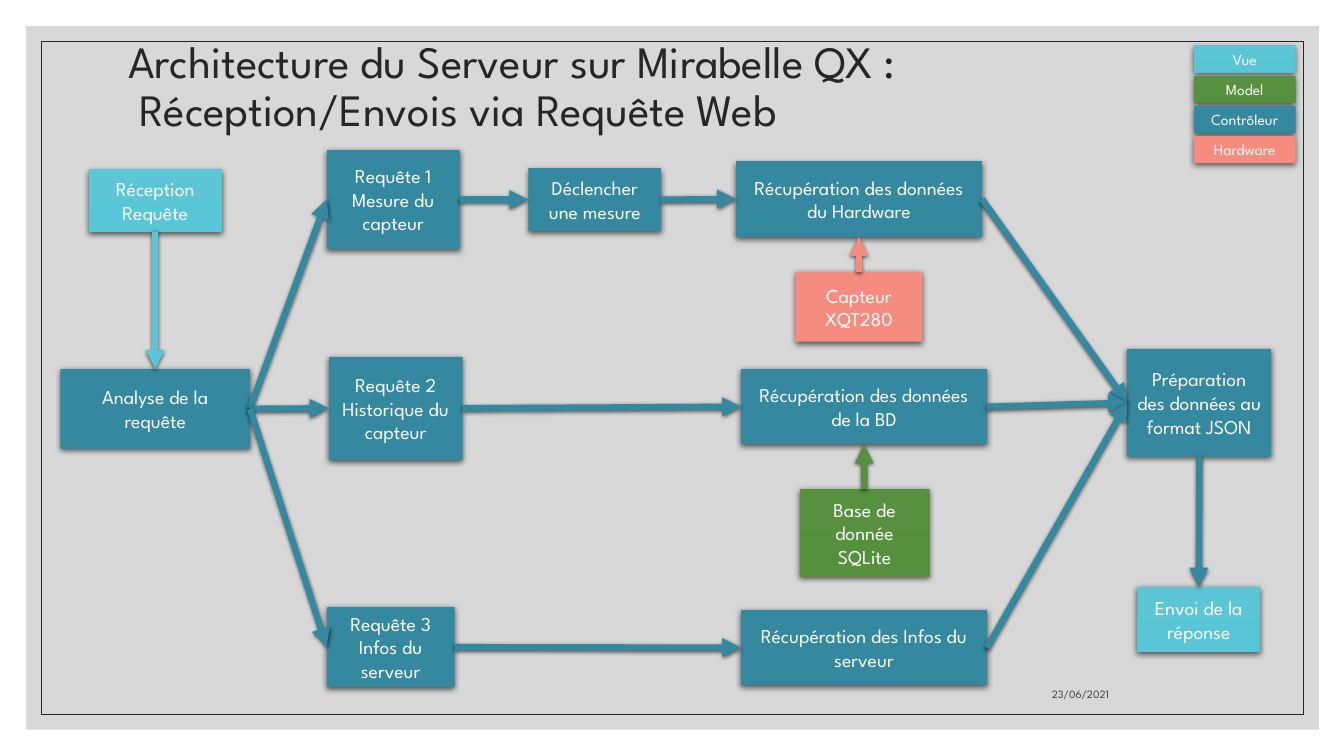
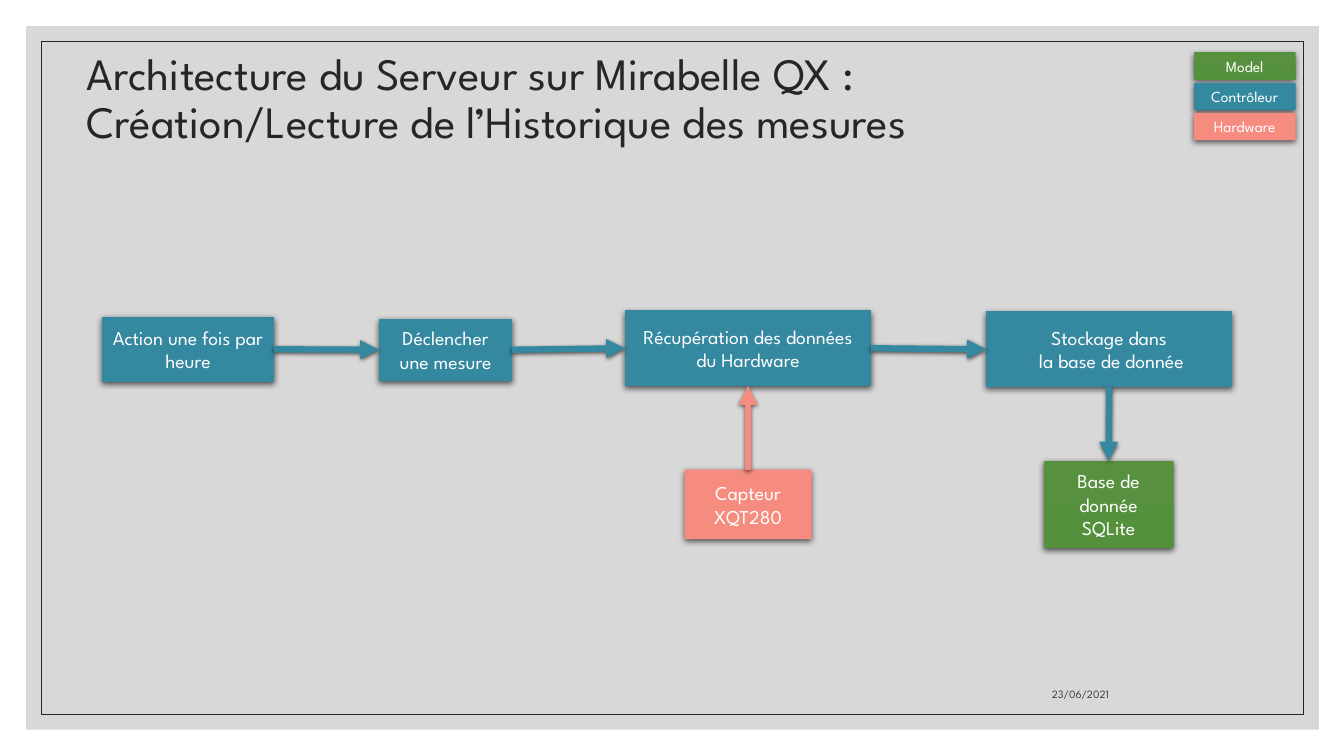
from pptx import Presentation
from pptx.dml.color import RGBColor
from pptx.enum.shapes import MSO_CONNECTOR, MSO_SHAPE
from pptx.enum.text import MSO_ANCHOR, MSO_AUTO_SIZE, PP_ALIGN
from pptx.oxml import parse_xml
from pptx.oxml.ns import nsdecls, qn
from pptx.util import Inches, Pt
from lxml.etree import SubElement

FONT = "League Spartan"
WHITE = RGBColor(0xFF, 0xFF, 0xFF)
GREY = RGBColor(0xBF, 0xBF, 0xBF)
DARK = RGBColor(0x26, 0x26, 0x26)
SLATE = RGBColor(0x40, 0x40, 0x40)
BLUE = (RGBColor(0x34, 0x88, 0xA0), RGBColor(0x31, 0x88, 0xA1))
GREEN = (RGBColor(0x57, 0x90, 0x3F), RGBColor(0x55, 0x91, 0x3C))
CYAN = (RGBColor(0x5C, 0xC6, 0xD6), RGBColor(0x58, 0xC6, 0xD7))
CORAL = (RGBColor(0xF6, 0x8C, 0x80),)
TOP, LEFT, BASE, RIGHT = range(4)
KEYS = {"Vue": CYAN, "Model": GREEN, "Contrôleur": BLUE, "Hardware": CORAL}


class Deck:
    """Hold the style and the current slide."""

    def __init__(self):
        self.prs = Presentation()
        self.prs.slide_width = Inches(13.33)
        self.prs.slide_height = Inches(7.5)
        self.slide = None

    def start(self, lines, area):
        first = self.slide is None
        self.slide = self.prs.slides.add_slide(self.prs.slide_layouts[5])
        if first:
            self.frame()
        self.title(lines, area)
        self.date("23/06/2021")

    def rect(self, area):
        shape = self.slide.shapes.add_shape(
            MSO_SHAPE.RECTANGLE, *map(Inches, area))
        shape.shadow.inherit = False
        shape.line.fill.background()
        return shape

    def frame(self):
        panel = self.rect((0.26, 0.26, 12.82, 6.98))
        panel.fill.solid()
        panel.fill.fore_color.rgb = GREY
        tint = next(panel.element.spPr.iter(qn("a:srgbClr")))
        SubElement(tint, qn("a:alpha"), val="60000")
        border = self.rect((0.41, 0.41, 12.52, 6.68))
        border.fill.background()
        border.line.color.rgb = DARK
        border.line.width = Pt(0.5)
        tree = self.prs.slide_master.shapes.element
        for spot, shape in enumerate((panel, border), 2):
            shape.element.nvSpPr.cNvPr.id = 20 + spot
            tree.insert(spot, shape.element)

    def put(self, para, text, size, color):
        run = para.add_run()
        run.text = text
        run.font.name = FONT
        run.font.size = Pt(size)
        run.font.color.rgb = color

    def title(self, lines, area):
        shape = self.slide.shapes.title
        shape.left, shape.top, shape.width, shape.height = map(Inches, area)
        text = shape.text_frame
        text.word_wrap = True
        text.auto_size = MSO_AUTO_SIZE.NONE
        text.vertical_anchor = MSO_ANCHOR.MIDDLE
        para = text.paragraphs[0]
        para.alignment = PP_ALIGN.LEFT
        para.line_spacing = 0.9
        for row, line in enumerate(lines):
            if row:
                para.add_line_break()
            self.put(para, line, 32, DARK)

    def date(self, day):
        area = map(Inches, (7.94, 6.6, 3.16, 0.4))
        text = self.slide.shapes.add_textbox(*area).text_frame
        text.word_wrap = True
        text.vertical_anchor = MSO_ANCHOR.BOTTOM
        para = text.paragraphs[0]
        para.alignment = PP_ALIGN.RIGHT
        self.put(para, day, 8, SLATE)

    def shade(self, shape, blur, drop):
        props = shape.element.spPr
        for old in props.findall(qn("a:effectLst")):
            props.remove(old)
        props.append(parse_xml(
            f'<a:effectLst {nsdecls("a")}><a:outerShdw blurRad="{Pt(blur)}" '
            f'dist="{Pt(drop)}" dir="5400000" algn="ctr" rotWithShape="0">'
            '<a:srgbClr val="000000"><a:alpha val="63000"/></a:srgbClr>'
            '</a:outerShdw></a:effectLst>'))

    def box(self, words, area, tone=BLUE, size=14):
        shape = self.rect(area)
        if len(tone) == 1:
            shape.fill.solid()
            shape.fill.fore_color.rgb = tone[0]
        else:
            shape.fill.gradient()
            shape.fill.gradient_angle = 270
            for stop, color in zip(shape.fill.gradient_stops, tone):
                stop.color.rgb = color
        self.shade(shape, 4.5, 1.5)
        text = shape.text_frame
        text.word_wrap = True
        text.vertical_anchor = MSO_ANCHOR.MIDDLE
        for row, line in enumerate(words.split("\n")):
            para = text.add_paragraph() if row else text.paragraphs[0]
            para.alignment = PP_ALIGN.CENTER
            self.put(para, line, size, WHITE)
        return shape

    def link(self, start, out, end, into, tone=BLUE):
        line = self.slide.shapes.add_connector(
            MSO_CONNECTOR.STRAIGHT, 0, 0, 0, 0)
        line.begin_connect(start, out)
        line.end_connect(end, into)
        line.line.color.rgb = tone[0]
        line.line.width = Pt(4.5)
        stroke = line.element.spPr.find(qn("a:ln"))
        SubElement(stroke, qn("a:tailEnd"), type="triangle")
        self.shade(line, 3, 1)

    def chain(self, *boxes):
        for start, end in zip(boxes, boxes[1:]):
            self.link(start, RIGHT, end, LEFT)

    def legend(self, names, top):
        for row, name in enumerate(names):
            self.box(name, (11.84, top + 0.3 * row, 1.01, 0.27),
                     KEYS[name], 11)


def web(deck):
    deck.start(("Architecture du Serveur sur Mirabelle QX : ",
                " Réception/Envois via Requête Web"), (1.17, 0.59, 11, 0.57))
    deck.legend(KEYS, 0.45)
    entry = deck.box("Réception Requête", (0.88, 1.68, 1.32, 0.62), CYAN)
    sort = deck.box("Analyse de la requête", (0.6, 3.66, 1.88, 0.79))
    sense = deck.box("Requête 1\nMesure du capteur", (3.24, 1.49, 1.32, 0.98))
    past = deck.box("Requête 2\nHistorique du capteur",
                    (3.26, 3.54, 1.33, 1.02))
    info = deck.box("Requête 3\nInfos du serveur", (3.24, 6.02, 1.27, 0.8))
    fire = deck.box("Déclencher une mesure", (5.24, 1.67, 1.32, 0.62))
    probe = deck.box("Capteur XQT280", (7.89, 2.7, 1.26, 0.69), CORAL)
    base = deck.box("Base de donnée SQLite", (7.93, 4.85, 1.29, 0.87), GREEN)
    gauge = deck.box("Récupération des données du Hardware",
                     (7.3, 1.6, 2.44, 0.75))
    fetch = deck.box("Récupération des données de la BD",
                     (7.35, 3.66, 2.44, 0.75))
    state = deck.box("Récupération des Infos du serveur",
                     (7.35, 6.05, 2.44, 0.75))
    pack = deck.box("Préparation des données au format JSON",
                    (11.18, 3.46, 1.43, 1.07))
    reply = deck.box("Envoi de la réponse", (11.28, 5.82, 1.22, 0.65), CYAN)
    deck.link(entry, BASE, sort, TOP, CYAN)
    deck.chain(sort, sense, fire, gauge, pack)
    deck.chain(sort, past, fetch, pack)
    deck.chain(sort, info, state, pack)
    deck.link(probe, TOP, gauge, BASE, CORAL)
    deck.link(base, TOP, fetch, BASE, GREEN)
    deck.link(pack, BASE, reply, TOP)


def store(deck):
    deck.start(("Architecture du Serveur sur Mirabelle QX :",
                "Création/Lecture de l’Historique des mesures"),
               (0.76, 0.59, 10.88, 0.8))
    deck.legend(list(KEYS)[1:], 0.52)
    timer = deck.box("Action une fois par heure", (1.01, 3.14, 1.71, 0.65))
    fire = deck.box("Déclencher une mesure", (3.76, 3.16, 1.32, 0.62))
    gauge = deck.box("Récupération des données du Hardware",
                     (6.2, 3.08, 2.44, 0.75))
    stock = deck.box("Stockage dans\n la base de donnée",
                     (9.78, 3.09, 2.44, 0.75))
    probe = deck.box("Capteur XQT280", (6.79, 4.66, 1.26, 0.69), CORAL)
    base = deck.box("Base de donnée SQLite", (10.35, 4.57, 1.29, 0.87), GREEN)
    deck.chain(timer, fire, gauge, stock)
    deck.link(probe, TOP, gauge, BASE, CORAL)
    deck.link(stock, BASE, base, TOP)


def main():
    deck = Deck()
    web(deck)
    store(deck)
    deck.prs.save("out.pptx")


if __name__ == "__main__":
    main()
